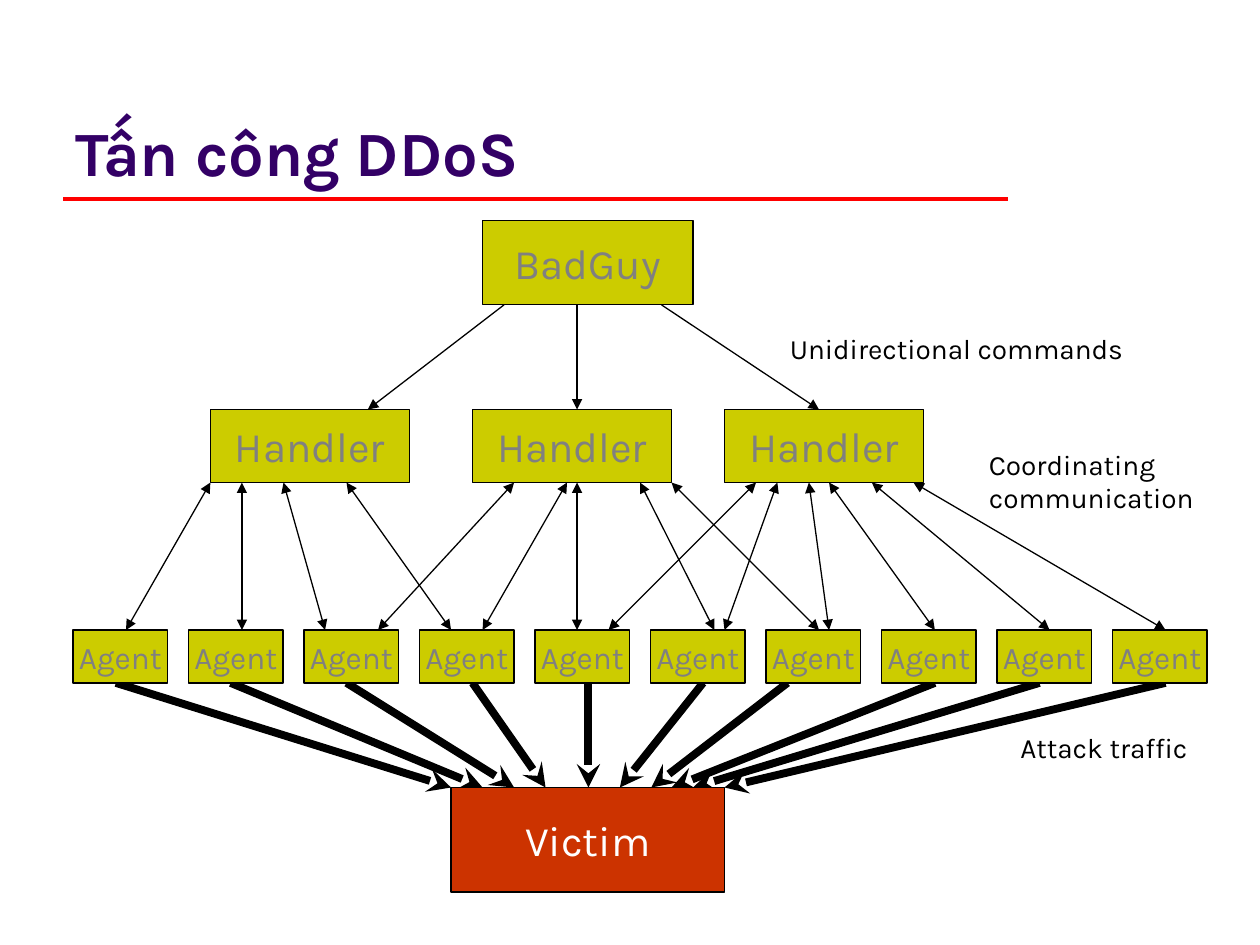
import pptx
import pptx.util
import pptx.dml.color
import pptx.enum.shapes
import pptx.enum.text
import pptx.oxml.ns
from dataclasses import dataclass
from lxml import etree

Inches = pptx.util.Inches
Pt = pptx.util.Pt
Align = pptx.enum.text.PP_ALIGN
Anchor = pptx.enum.text.MSO_ANCHOR


@dataclass(frozen=True)
class Theme:
    face: str = "Karla"
    title: str = "330066"
    rule: str = "FF0000"
    node: str = "CCCC00"
    grey: str = "808080"
    alert: str = "CC3300"
    white: str = "FFFFFF"
    black: str = "000000"
    head: int = 36
    large: int = 24
    mid: int = 18
    small: int = 16
    thin: float = 0.75
    rulew: float = 2.25
    thick: float = 4.5


theme = Theme()
BOSS_END, HAND_TOP, HAND_END = 2.42, 3.25, 3.83
AGENT_TOP, AGENT_END, VICTIM_TOP = 5, 5.42, 6.25

COMMANDS = [(4, 2.92), (4.58, 4.58), (5.25, 6.5)]
LINKS = [
    (1.67, 1), (1.92, 1.92), (2.25, 2.58), (2.75, 3.58),
    (4.08, 3), (4.5, 3.83), (4.58, 4.58), (5.08, 5.67), (5.33, 6.5),
    (6, 4.83), (6.17, 5.75), (6.42, 6.58), (6.58, 7.42), (6.92, 8.33),
    (7.25, 9.25),
]
ATTACKS = [
    (0.92, 3.58), (1.83, 3.83), (2.75, 4.08), (3.75, 4.33), (4.67, 4.67),
    (5.58, 4.92), (6.25, 5.17), (7.42, 5.33), (8.25, 5.5), (9.25, 5.75),
]
NOTES = [
    ("Unidirectional commands", 6.17, 2.58, 3.08, 0.37),
    ("Coordinating communication", 7.75, 3.5, 2.08, 0.64),
    ("Attack traffic", 8, 5.75, 1.58, 0.37),
]


def rgb(code):
    return pptx.dml.color.RGBColor.from_string(code)


def write(shape, text, size, color, align=Align.LEFT, bold=False):
    para = shape.text_frame.paragraphs[0]
    para.text = text
    para.alignment = align
    para.font.name = theme.face
    para.font.size = Pt(size)
    para.font.bold = bold
    para.font.color.rgb = rgb(color)


def title(slide, text):
    shape = slide.shapes.title
    shape.left, shape.top = Inches(0.5), Inches(0.13)
    shape.width, shape.height = Inches(8.25), Inches(1.42)
    shape.text_frame.vertical_anchor = Anchor.BOTTOM
    write(shape, text, theme.head, theme.title, bold=True)


def line(slide, start, end, width, color=theme.black, head=None, tail=None):
    points = [Inches(n) for n in (*start, *end)]
    kind = pptx.enum.shapes.MSO_CONNECTOR.STRAIGHT
    shape = slide.shapes.add_connector(kind, *points)
    shape.line.color.rgb = rgb(color)
    shape.line.width = Pt(width)
    qn = pptx.oxml.ns.qn
    props = shape.line._get_or_add_ln()
    for tag, tip in (("a:headEnd", head), ("a:tailEnd", tail)):
        if tip:
            etree.SubElement(props, qn(tag), type=tip)
    etree.SubElement(shape._element.spPr, qn("a:effectLst"))


def fan(slide, pairs, top, end, width, tail, head=None):
    for left, right in pairs:
        line(slide, (left, top), (right, end), width, head=head, tail=tail)


def box(slide, text, left, top, width, height, size=theme.large,
        fill=theme.node, color=theme.grey):
    area = [Inches(n) for n in (left, top, width, height)]
    kind = pptx.enum.shapes.MSO_SHAPE.RECTANGLE
    shape = slide.shapes.add_shape(kind, *area)
    shape.shadow.inherit = False
    shape.fill.solid()
    shape.fill.fore_color.rgb = rgb(fill)
    shape.line.color.rgb = rgb(theme.black)
    shape.line.width = Pt(theme.thin)
    shape.text_frame.word_wrap = False
    shape.text_frame.vertical_anchor = Anchor.MIDDLE
    write(shape, text, size, color, Align.CENTER)


def note(slide, text, *area):
    shape = slide.shapes.add_textbox(*[Inches(n) for n in area])
    shape.text_frame.word_wrap = True
    write(shape, text, theme.small, theme.black)


def main():
    deck = pptx.Presentation()
    deck.slide_width, deck.slide_height = Inches(10), Inches(7.5)
    slide = deck.slides.add_slide(deck.slide_layouts[5])
    title(slide, "Tấn công DDoS")
    line(slide, (0.5, 1.58), (8, 1.58), theme.rulew, theme.rule)

    fan(slide, ATTACKS, AGENT_END, VICTIM_TOP, theme.thick, "stealth")
    fan(slide, COMMANDS, BOSS_END, HAND_TOP, theme.thin, "triangle")

    box(slide, "BadGuy", 3.83, 1.75, 1.67, 0.67)
    for left in (1.67, 3.75, 5.75):
        box(slide, "Handler", left, HAND_TOP, 1.58, 0.58)
    for i in range(10):
        left = 0.58 + i * 11 / 12
        box(slide, "Agent", left, AGENT_TOP, 0.75, 0.42, theme.mid)
    box(slide, "Victim", 3.58, VICTIM_TOP, 2.17, 0.83,
        fill=theme.alert, color=theme.white)

    fan(slide, LINKS, HAND_END, AGENT_TOP, theme.thin, "triangle", "triangle")
    for item in NOTES:
        note(slide, *item)
    deck.save("out.pptx")


if __name__ == "__main__":
    main()
